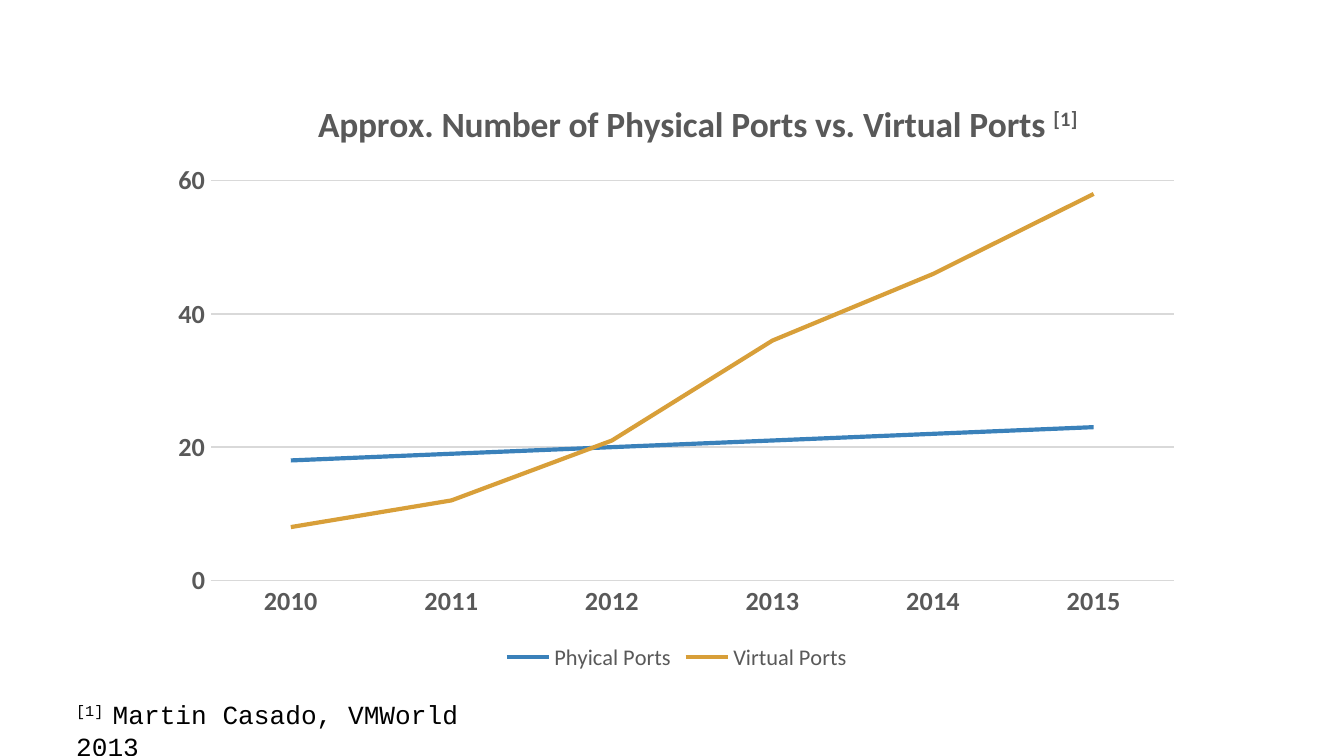
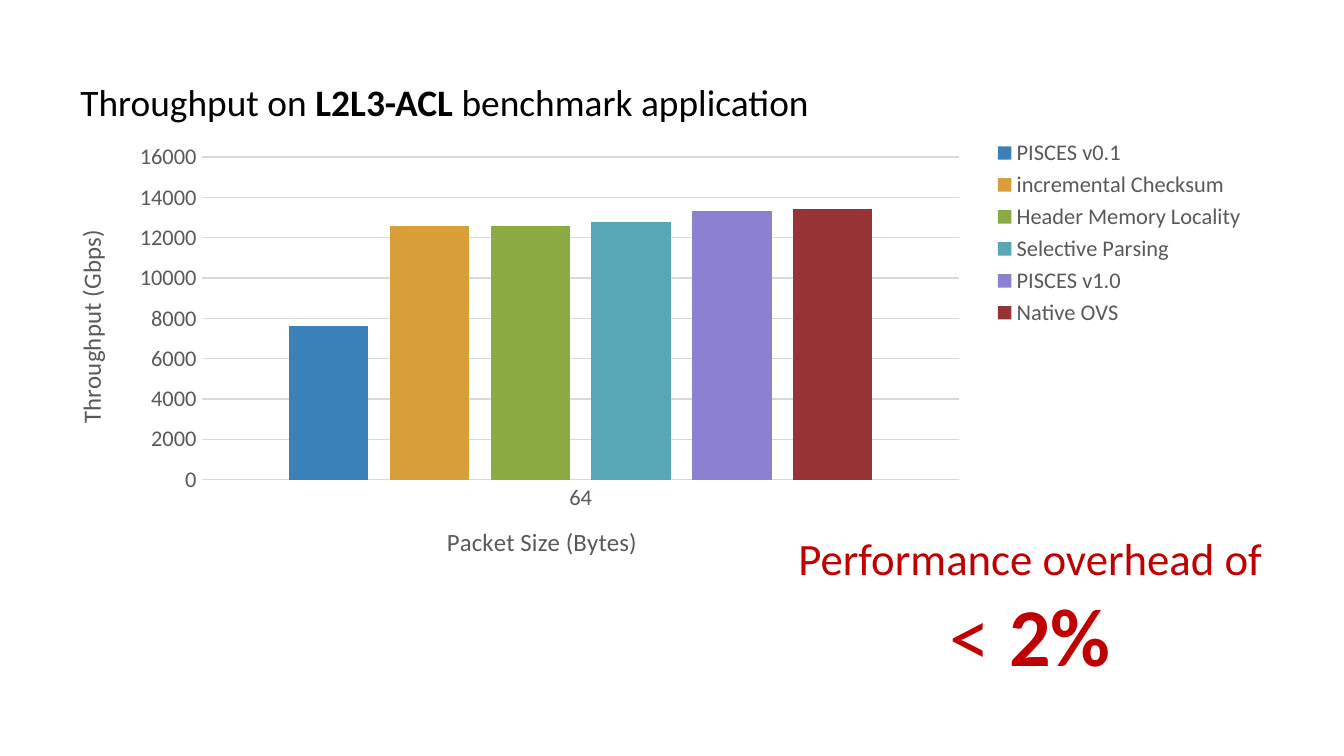
from dataclasses import dataclass

from lxml.etree import SubElement
from pptx import Presentation
from pptx.chart.data import CategoryChartData
from pptx.dml.color import RGBColor
from pptx.enum.chart import XL_CHART_TYPE as ChartType
from pptx.enum.chart import XL_LEGEND_POSITION as LegendPosition
from pptx.enum.chart import XL_TICK_MARK as TickMark
from pptx.enum.text import PP_ALIGN as Align
from pptx.oxml.ns import qn
from pptx.util import Cm, Pt


@dataclass(frozen=True)
class Theme:
    font: str = "Calibri"
    code_font: str = "Courier New"
    text: str = "000000"
    chart_text: str = "595959"
    grid: str = "D9D9D9"
    accent: str = "C00000"
    series: tuple = ("3A81BA", "D89F39", "8BAB42", "57A7B5", "8B81D2", "963334")
    chart_title: float = 19
    axis_title: float = 13.3
    label: float = 12
    strong_label: float = 14
    note: float = 14
    heading: float = 20
    callout: float = 24
    figure: float = 44
    hairline: float = 0.75
    curve: float = 2.25


THEME = Theme()


# Text
def style_font(font, size, color=THEME.text, bold=False, name=THEME.font):
    font.name = name
    font.size = Pt(size)
    font.bold = bold
    font.color.rgb = RGBColor.from_string(color)


def add_span(para, text, raised=False, **style):
    span = para.add_run()
    span.text = text
    style_font(span.font, **style)
    if raised:
        span.font._element.set("baseline", "30000")


def add_text(page, left, top, width, height, lines, align=Align.LEFT):
    """Each line is a list of (text, format) pairs."""
    box = page.shapes.add_textbox(Cm(left), Cm(top), Cm(width), Cm(height))
    frame = box.text_frame
    frame.word_wrap = True
    for number, spans in enumerate(lines):
        para = frame.add_paragraph() if number else frame.paragraphs[0]
        para.alignment = align
        for text, style in spans:
            add_span(para, text, **style)


# Charts
def place(element, **fractions):
    """Fix a chart part by fractions of the chart's size."""
    layout = element.find(qn("c:layout"))
    if layout is None:
        layout = element.makeelement(qn("c:layout"))
        element.insert(0 if element.find(qn("c:tx")) is None else 1, layout)
    manual = SubElement(layout, qn("c:manualLayout"))
    if "w" in fractions:
        SubElement(manual, qn("c:layoutTarget")).set("val", "inner")
    for key in "xy":
        SubElement(manual, qn(f"c:{key}Mode")).set("val", "edge")
    for key, value in fractions.items():
        SubElement(manual, qn(f"c:{key}")).set("val", str(value))


def add_title(title, spans, x, y, turned=False):
    frame = title.text_frame
    for text, style in spans:
        add_span(frame.paragraphs[0], text, color=THEME.chart_text, **style)
    if turned:
        frame._txBody.bodyPr.set("rot", "-5400000")
    place(title.element, x=x, y=y)


def style_line(line, color, width):
    line.color.rgb = RGBColor.from_string(color)
    line.width = Pt(width)


def style_axes(chart, maximum, step, size, bold=False):
    for axis in (chart.category_axis, chart.value_axis):
        axis.major_tick_mark = axis.minor_tick_mark = TickMark.NONE
        style_font(axis.tick_labels.font, size, THEME.chart_text, bold)
    style_line(chart.category_axis.format.line, THEME.grid, THEME.hairline)
    values = chart.value_axis
    values.minimum_scale, values.maximum_scale = 0, maximum
    values.major_unit = step
    values.format.line.fill.background()
    style_line(values.major_gridlines.format.line, THEME.grid, THEME.hairline)


def add_chart(page, kind, frame, categories, series, legend, plot):
    data = CategoryChartData()
    data.categories = categories
    for name, values in series:
        data.add_series(name, values)
    chart = page.shapes.add_chart(kind, *map(Cm, frame), data).chart
    chart.has_title = False
    style_font(chart.font, THEME.label, THEME.chart_text)
    chart.has_legend = True
    chart.legend.position = legend
    chart.legend.include_in_layout = False
    style_font(chart.legend.font, THEME.label, THEME.chart_text)
    for item, color in zip(chart.plots[0].series, THEME.series):
        if kind == ChartType.LINE:
            item.smooth = False
            style_line(item.format.line, color, THEME.curve)
        else:
            item.format.fill.solid()
            item.format.fill.fore_color.rgb = RGBColor.from_string(color)
    chart.plots[0].vary_by_categories = False
    place(chart.element.chart.plotArea, **plot)
    return chart


# Slides
def build_ports(page):
    chart = add_chart(
        page, ChartType.LINE, (3, 1.5, 19.58, 11.28), range(2010, 2016),
        [("Phyical Ports", (18, 19, 20, 21, 22, 23)),
         ("Virtual Ports", (8, 12, 21, 36, 46, 58))],
        LegendPosition.BOTTOM, dict(x=0.05, y=0.17, w=0.93, h=0.67))
    style_axes(chart, 60, 20, THEME.strong_label, bold=True)
    title = dict(size=THEME.chart_title, bold=True)
    chart.has_title = True
    add_title(chart.chart_title,
              [("Approx. Number of Physical Ports vs. Virtual Ports ", title),
               ("[1]", dict(title, raised=True))], x=0.15, y=0.03)

    note = dict(size=THEME.note, name=THEME.code_font)
    add_text(page, 1.19, 13.08, 8.69, 0.86,
             [[("[1] ", dict(note, raised=True)),
               ("Martin Casado, VMWorld 2013", note)]])


def build_throughput(page):
    chart = add_chart(
        page, ChartType.COLUMN_CLUSTERED, (0.86, 2.54, 22.73, 8.59), [64],
        [("PISCES v0.1", [7600]), ("incremental Checksum", [12600]),
         ("Header Memory Locality", [12600]), ("Selective Parsing", [12800]),
         ("PISCES v1.0", [13300]), ("Native OVS", [13400])],
        LegendPosition.CORNER, dict(x=0.13, y=0.05, w=0.63, h=0.71))
    chart.plots[0].gap_width = 219
    chart.plots[0].overlap = -27
    style_axes(chart, 16000, 2000, THEME.label)
    title = dict(size=THEME.axis_title)
    add_title(chart.category_axis.axis_title,
              [("Packet Size (Bytes)", title)], x=0.33, y=0.85)
    add_title(chart.value_axis.axis_title,
              [("Throughput (Gbps)", title)], x=0.02, y=0.2, turned=True)

    figure = dict(size=THEME.figure, color=THEME.accent)
    add_text(page, 14.76, 9.91, 9.42, 3.18,
             [[("Performance overhead of", dict(figure, size=THEME.callout))],
              [("< ", figure), ("2%", dict(figure, bold=True))]], Align.CENTER)

    heading = dict(size=THEME.heading)
    add_text(page, 1.27, 1.38, 19.58, 1.12,
             [[("Throughput on ", heading),
               ("L2L3-ACL ", dict(heading, bold=True)),
               ("benchmark application", heading)]])


def main():
    deck = Presentation()
    deck.slide_width, deck.slide_height = Cm(25.4), Cm(14.29)
    for build in (build_ports, build_throughput):
        build(deck.slides.add_slide(deck.slide_layouts[6]))
    deck.save("out.pptx")


if __name__ == "__main__":
    main()
